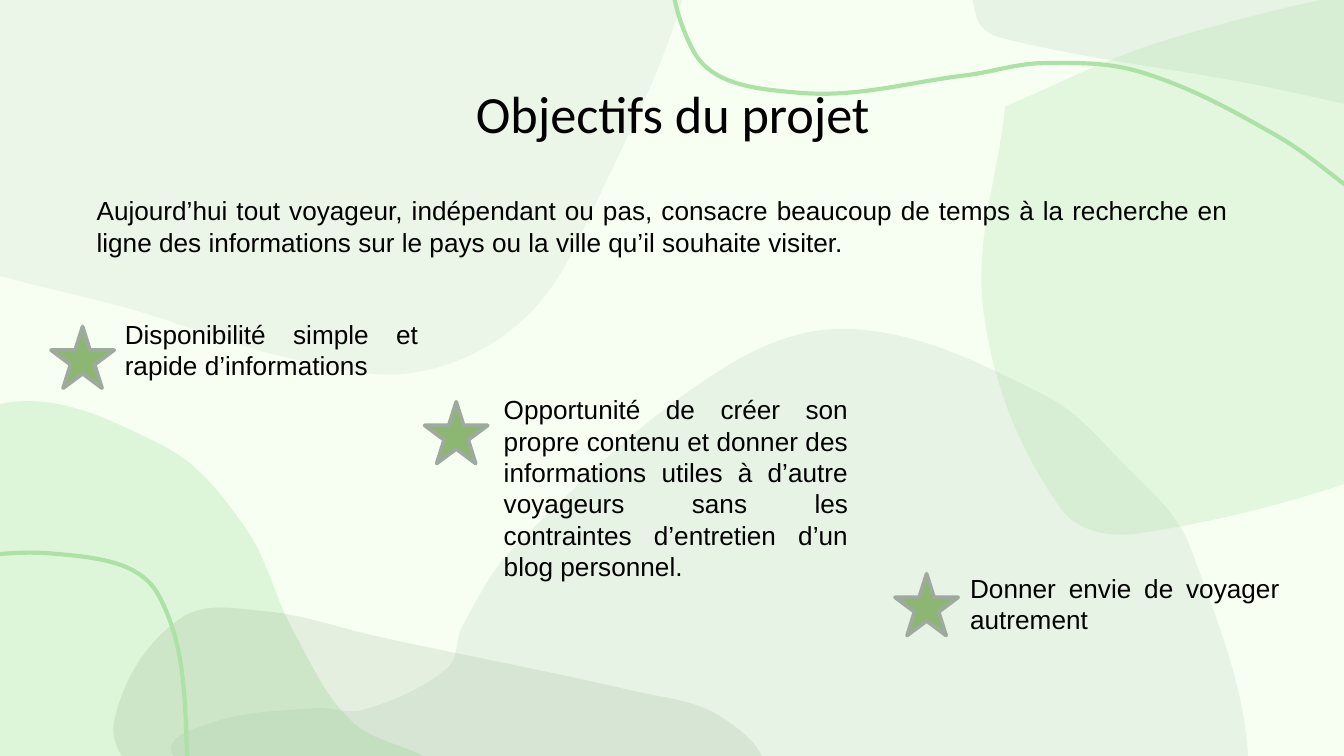
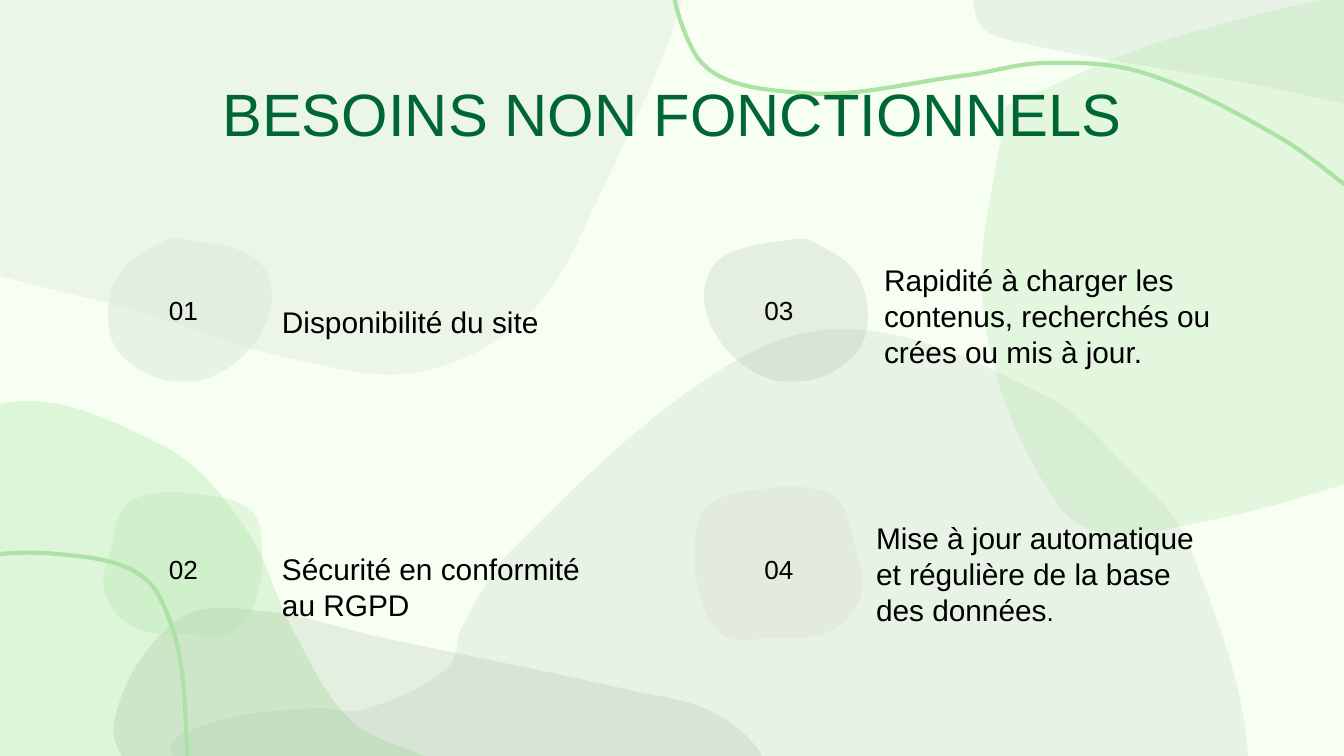
from dataclasses import dataclass
from math import cos, hypot, radians, sin
from typing import Optional

from lxml.etree import SubElement as Sub
from pptx import Presentation
from pptx.dml.color import RGBColor as Rgb
from pptx.enum.shapes import MSO_SHAPE as Kind
from pptx.enum.text import MSO_ANCHOR as Anchor, PP_ALIGN as Align
from pptx.oxml.ns import qn
from pptx.util import Cm, Pt

# Colours and fonts
CREAM = Rgb(0xF7, 0xFF, 0xF3)
MOSS = Rgb(0x65, 0x88, 0x62)
MIST = Rgb(0xD7, 0xE7, 0xD6)
MINT = Rgb(0xAD, 0xE2, 0xA6)
TAN = Rgb(0xAC, 0x90, 0x78)
LEAF = Rgb(0x8C, 0xB7, 0x72)
ASH = Rgb(0x9F, 0xAA, 0x9E)
PINE = Rgb(0x00, 0x66, 0x33)
BLACK = Rgb(0, 0, 0)
SANS = "Arial"

BEND = 0.35  # handle length as a share of the distance between knots

Spot = tuple[float, float]
Box = tuple[float, float, float, float]


@dataclass
class Form:
    """Smooth outline through knots; a knot given twice makes a corner."""
    home: Box
    knots: list[Spot]
    turn: float = 0
    open: bool = False


@dataclass
class Blob:
    """A form placed on the slide, perhaps resized, mirrored or spun."""
    form: Form
    tint: Rgb
    alpha: int = 100
    box: Optional[Box] = None  # None keeps the form's home
    mirror: bool = False
    spin: float = 0


@dataclass
class Goal:
    star: Spot
    box: Box
    text: str


@dataclass
class Need:
    num: Spot
    box: Box
    text: str
    end: str = ""


# Forms
HILL = Form((-1.77, -3.74, 7, 6.22), [
    (2.64, -3.61), (5.09, -2.3), (5.18, -0.43), (4.36, 1.67), (3.87, 2.4),
    (3.1, 2.77), (2.26, 2.69), (1.26, 2.39), (-1.01, 1.56), (-1.92, -0.22),
    (-1.13, -2.17), (-0.18, -3.64)], turn=13.6)
WEDGE = Form((7.07, -0.81, 4.99, 1.49), [
    (11.15, -0.52), (11.72, -0.23), (11.89, 0.65), (11.53, 0.97),
    (10.78, 0.93), (9.34, 0.63), (7.44, 0.28), (7.26, 0.11), (7.23, -0.76),
    (7.71, -1.04), (8.37, -0.98), (10.26, -0.66)], turn=10.8)
DOME = Form((1.23, 2.45, 8.17, 5.22), [
    (6.37, 2.45), (5.35, 2.76), (3.83, 4.07), (3.44, 4.66), (3.33, 4.97),
    (2.71, 5.28), (2.34, 5.27), (1.6, 5.37), (1.28, 5.61), (2.29, 6.72),
    (4.11, 7.42), (7.12, 7.21), (8.59, 6.88), (9.28, 5.99), (8.86, 4.08),
    (8.34, 3.43), (7.77, 2.94)])
POND = Form((-2.48, 3.07, 6.55, 6.14), [
    (2.18, 4.69), (1.82, 3.92), (1.2, 3.31), (-0.02, 3.01), (-0.5, 3.7),
    (-1.11, 4.41), (-1.62, 7.67), (0.19, 8.74), (2.66, 8.43), (3.2, 8.24),
    (3.75, 6.45), (3.28, 5.72), (2.62, 5.37)], turn=147.1)
STONE = Form((7.15, -0.16, 5.4, 4.12), [
    (10.61, -0.16), (8.67, 0.3), (7.48, 0.79), (7.48, 0.79), (7.32, 2.33),
    (7.89, 3.78), (8.47, 3.97), (10.69, 3.35), (12.23, 2.47), (11.99, 1.11),
    (10.89, -0.12)])
VINE = Form((4.47, -0.85, 8.56, 3.15), [
    (13.31, 0.77), (12.45, 1.31), (11, 1.85), (10.3, 1.57), (9.5, 1.01),
    (8.5, 0.54), (7.76, 0.47), (7.19, 0.56), (5.94, 0.69), (5.16, 0.38),
    (4.91, -1.23)], turn=20.7, open=True)
DROP = Form((0.79, 1.78, 1.48, 1.06), [
    (1.35, 1.78), (1.21, 1.8), (0.88, 2.05), (0.82, 2.49), (1.05, 2.76),
    (1.42, 2.84), (1.71, 2.73), (1.94, 2.48), (2.02, 2.17), (1.88, 1.91)])
TILE = Form((0.77, 3.67, 1.2, 1.06), [
    (1.4, 3.67), (1.11, 3.68), (0.93, 3.77), (0.83, 4.06), (0.78, 4.41),
    (1, 4.67), (1.41, 4.72), (1.73, 4.71), (1.9, 4.48), (1.95, 4.09),
    (1.86, 3.79)])

# Background shared by both slides: wedge and vine come back transformed
WAVES = [
    Blob(HILL, MOSS, 7),
    Blob(WEDGE, MIST, 47),
    Blob(DOME, MIST, 47),
    Blob(POND, MINT, 34),
    Blob(STONE, MINT, 26),
    Blob(WEDGE, MOSS, 13, box=(0.78, 4.81, 4.99, 1.49), mirror=True),
    Blob(VINE, MINT),
    Blob(VINE, MINT, box=(-6.69, 2.51, 8.56, 3.15), spin=180),
]

# Marks behind the numbers: the right column mirrors the left
MARKS = [
    Blob(DROP, MIST, 47),
    Blob(DROP, MOSS, 13, box=(4.99, 1.78, 1.48, 1.06), mirror=True),
    Blob(TILE, TAN, 8, box=(5.15, 3.63, 1.27, 1.13), mirror=True),
    Blob(TILE, MINT, 26),
]

# Slide texts
INTRO = ("Aujourd’hui tout voyageur, indépendant ou pas, consacre beaucoup de "
         "temps à la recherche en ligne des informations sur le pays ou la "
         "ville qu’il souhaite visiter.")
GOALS = [
    Goal((0.38, 2.43), (0.83, 2.32, 2.38, 0.57),
         "Disponibilité simple et rapide d’informations"),
    Goal((3.16, 2.99), (3.65, 2.88, 2.76, 1.5),
         "Opportunité de créer son propre contenu et donner des informations "
         "utiles à d’autre voyageurs sans les contraintes d’entretien d’un "
         "blog personnel."),
    Goal((6.66, 4.27), (7.12, 4.21, 2.5, 0.57),
         "Donner envie de voyager autrement"),
]
NEEDS = [
    Need((0.92, 2.06), (2, 1.71, 2.66, 0.92), "Disponibilité du site"),
    Need((0.92, 3.99), (2, 3.81, 2.66, 0.92), "Sécurité en conformité au RGPD"),
    Need((5.35, 2.06), (6.48, 1.93, 2.66, 0.92),
         "Rapidité à charger les contenus, recherchés ou crées ou mis à jour."),
    Need((5.35, 3.99), (6.42, 3.85, 2.8, 0.92),
         "Mise à jour automatique et régulière de la base des données", "."),
]


def dim(val: float) -> Cm:
    """Turn a layout unit (one tenth of the slide width) into a length."""
    return Cm(val * 2.54)


def stroke(shape, tint: Rgb, width: float) -> None:
    shape.line.color.rgb = tint
    shape.line.width = Pt(width)
    Sub(shape.element.xpath("./p:spPr/a:ln")[0], qn("a:round"))


def paint(shape, tint: Rgb, alpha: int = 100) -> None:
    shape.fill.solid()
    shape.fill.fore_color.rgb = tint
    tone = shape.element.xpath("./p:spPr/a:solidFill/a:srgbClr")[0]
    if alpha < 100:
        Sub(tone, qn("a:alpha"), val=str(alpha * 1000))


def settle(blob: Blob, size: Spot) -> list[Spot]:
    """Give the knots as they lie in the unturned frame of the given size."""
    x, y, w, h = blob.form.home
    c, s = cos(radians(blob.form.turn)), sin(radians(blob.form.turn))
    side = -1 if blob.mirror else 1
    knots = []
    for px, py in blob.form.knots:
        dx, dy = px - x - w / 2, py - y - h / 2
        knots.append((((dx * c + dy * s) / w * side + 0.5) * size[0],
                      ((dy * c - dx * s) / h + 0.5) * size[1]))
    return knots


def curves(knots: list[Spot], is_open: bool) -> list[list[Spot]]:
    """Join knots by curves that run parallel to each knot's neighbours."""
    last = len(knots) - 1

    def near(i: int) -> Spot:
        return knots[min(max(i, 0), last) if is_open else i % len(knots)]

    def handle(i: int, reach: float) -> Spot:
        (ax, ay), (bx, by) = near(i - 1), near(i + 1)
        span = hypot(bx - ax, by - ay) or 1
        px, py = near(i)
        return px + (bx - ax) / span * reach, py + (by - ay) / span * reach

    parts = []
    for i in range(last if is_open else last + 1):
        (ax, ay), (bx, by) = near(i), near(i + 1)
        reach = BEND * hypot(bx - ax, by - ay)
        parts.append([handle(i, reach), handle(i + 1, -reach), (bx, by)])
    return parts


def trace(slide, blob: Blob) -> None:
    """Draw a blob as a freeform with true curves inside its turned frame."""
    form = blob.form
    x, y, w, h = blob.box or form.home
    pen = slide.shapes.build_freeform(dim(x), dim(y))
    pen.add_line_segments([(dim(x + w), dim(y)), (dim(x + w), dim(y + h)),
                           (dim(x), dim(y + h))])
    shape = pen.convert_to_shape()
    shape.shadow.inherit = False
    shape.rotation = form.turn + blob.spin

    # Swap the frame's corners for the curves
    geom = shape.element.xpath(".//a:path")[0]
    for kid in list(geom):
        geom.remove(kid)
    knots = settle(blob, (w, h))
    steps = [("a:moveTo", knots[:1])]
    steps += [("a:cubicBezTo", part) for part in curves(knots, form.open)]
    for tag, group in steps:
        step = Sub(geom, qn(tag))
        for px, py in group:
            Sub(step, qn("a:pt"), x=str(int(dim(px))), y=str(int(dim(py))))

    if form.open:
        shape.fill.background()
        stroke(shape, blob.tint, 2.25)
    else:
        Sub(geom, qn("a:close"))
        shape.line.fill.background()
        paint(shape, blob.tint, blob.alpha)


def write(slide, text: str, box: Box, *, size: float = 14, font: str = SANS,
          tint: Rgb = BLACK, align=Align.LEFT, anchor=Anchor.TOP,
          pad: float = 0.1, end: str = "") -> None:
    frame = slide.shapes.add_textbox(*map(dim, box)).text_frame
    frame.word_wrap = True
    frame.vertical_anchor = anchor
    frame.margin_left = frame.margin_right = dim(0.1)
    frame.margin_top = frame.margin_bottom = dim(pad)
    para = frame.paragraphs[0]
    para.alignment = align
    for part, pts in ((text, size), (end, 14)):
        if part:
            run = para.add_run()
            run.text = part
            run.font.size = Pt(pts)
            run.font.name = font
            run.font.color.rgb = tint


def start(deck, title: str, **style):
    """Add a slide with the shared background and title."""
    slide = deck.slides.add_slide(deck.slide_layouts[6])
    slide.background.fill.solid()
    slide.background.fill.fore_color.rgb = CREAM
    for wave in WAVES:
        trace(slide, wave)
    write(slide, title, (0.79, 0.48, 8.43, 0.72), align=Align.CENTER,
          anchor=Anchor.MIDDLE, **style)
    return slide


def goals(deck) -> None:
    slide = start(deck, "Objectifs du projet", size=28, font="Calibri")
    style = {"align": Align.JUSTIFY, "pad": 0.05}
    write(slide, INTRO, (0.62, 1.4, 8.62, 0.57), **style)
    for goal in GOALS:
        write(slide, goal.text, goal.box, **style)
        star = slide.shapes.add_shape(Kind.STAR_5_POINT,
                                      *map(dim, (*goal.star, 0.47, 0.46)))
        star.shadow.inherit = False
        paint(star, LEAF)
        stroke(star, ASH, 2)


def needs(deck) -> None:
    slide = start(deck, "BESOINS NON FONCTIONNELS", size=32, tint=PINE)
    for mark in MARKS:
        trace(slide, mark)
    for i, need in enumerate(NEEDS, 1):
        write(slide, f"{i:02}", (*need.num, 0.89, 0.49), align=Align.CENTER,
              anchor=Anchor.MIDDLE)
        write(slide, need.text, need.box, size=16, anchor=Anchor.BOTTOM,
              end=need.end)


def main() -> None:
    deck = Presentation()
    deck.slide_width, deck.slide_height = Cm(25.4), Cm(14.29)
    goals(deck)
    needs(deck)
    deck.save("out.pptx")


if __name__ == "__main__":
    main()
